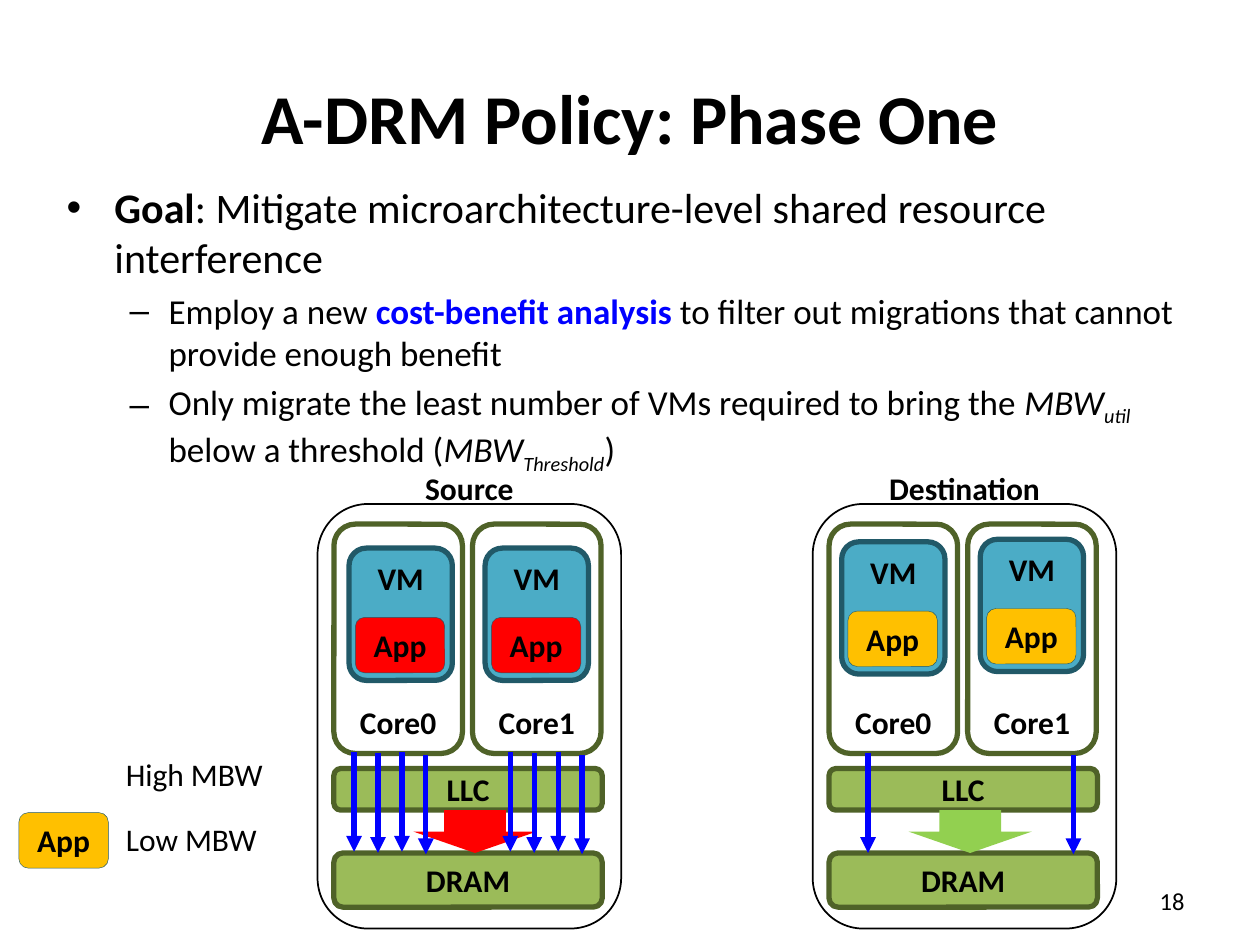
from dataclasses import dataclass

from lxml.etree import SubElement
from pptx import Presentation
from pptx.dml.color import RGBColor
from pptx.enum.shapes import MSO_CONNECTOR, MSO_SHAPE
from pptx.enum.text import MSO_ANCHOR, PP_ALIGN
from pptx.oxml.ns import qn
from pptx.util import Inches, Pt

COLORS = {
    "black": "000000",
    "blue": "0000FF",
    "olive": "4F6228",
    "green": "9BBB59",
    "lime": "92D050",
    "teal": "4BACC6",
    "navy": "215968",
    "amber": "FFC000",
    "red": "FF0000",
}


@dataclass
class Span:
    text: str
    bold: bool = False
    italic: bool = False
    color: str = "black"
    baseline: int = 0


@dataclass
class Bullet:
    mark: str
    size: int
    margin: float
    hanging: float
    before: float
    spans: list[Span]


@dataclass
class Machine:
    name: str
    left: float
    name_left: float
    name_width: float
    app_color: str
    flow_color: str
    vm_corners: list[tuple[float, float]]
    traffic: list[tuple[float, float]]


def color(name: str) -> RGBColor:
    return RGBColor.from_string(COLORS[name])


def apply(target, values: dict) -> None:
    for key, value in values.items():
        setattr(target, key, value)


def add_span(para, span: Span, size: float) -> None:
    run = para.add_run()
    run.text = span.text
    apply(run.font, {"name": "Calibri", "size": Pt(size), "bold": span.bold, "italic": span.italic})
    run.font.color.rgb = color(span.color)
    if span.baseline:
        run.font._element.set("baseline", str(span.baseline * 1000))


def add_text(slide, place: tuple, span: Span, size: float, align=PP_ALIGN.LEFT,
             anchor=MSO_ANCHOR.TOP, wrap: bool = False) -> None:
    box = slide.shapes.add_textbox(*map(Inches, place))
    apply(box.text_frame, {"word_wrap": wrap, "vertical_anchor": anchor})
    para = box.text_frame.paragraphs[0]
    para.alignment = align
    add_span(para, span, size)


def add_bullets(slide, place: tuple, bullets: list[Bullet]) -> None:
    box = slide.shapes.add_textbox(*map(Inches, place))
    box.text_frame.word_wrap = True
    for index, bullet in enumerate(bullets):
        para = box.text_frame.add_paragraph() if index else box.text_frame.paragraphs[0]
        para.space_before = Pt(bullet.before)
        properties = para._p.get_or_add_pPr()
        properties.set("marL", str(Inches(bullet.margin)))
        properties.set("indent", str(-Inches(bullet.hanging)))
        SubElement(properties, qn("a:buFont"), typeface="Arial")
        SubElement(properties, qn("a:buChar"), char=bullet.mark)
        for span in bullet.spans:
            add_span(para, span, bullet.size)


def add_block(slide, place: tuple, label: str = "", fill: str = "", line: str = "",
              weight: float = 3, anchor=MSO_ANCHOR.MIDDLE, kind=MSO_SHAPE.ROUNDED_RECTANGLE) -> None:
    block = slide.shapes.add_shape(kind, *map(Inches, place))
    block.shadow.inherit = False
    if fill:
        block.fill.solid()
        block.fill.fore_color.rgb = color(fill)
    else:
        block.fill.background()
    if line:
        block.line.color.rgb = color(line)
        block.line.width = Pt(weight)
    else:
        block.line.fill.background()
    if label:
        apply(block.text_frame, {
            "vertical_anchor": anchor, "word_wrap": True,
            "margin_left": 0, "margin_right": 0,
            "margin_top": Inches(0.05), "margin_bottom": Inches(0.05),
        })
        para = block.text_frame.paragraphs[0]
        para.alignment = PP_ALIGN.CENTER
        add_span(para, Span(label, bold=True), 18)


def add_app(slide, left: float, top: float, fill: str) -> None:
    add_block(slide, (left, top, 0.71, 0.44), "App", fill, "navy", 0.25)


def add_vm(slide, left: float, top: float, app_color: str) -> None:
    add_block(slide, (left, top, 0.82, 1.05), "VM", "teal", "navy", anchor=MSO_ANCHOR.TOP)
    add_app(slide, left + 0.05, top + 0.55, app_color)


def add_traffic(slide, x: float, top: float) -> None:
    arrow = slide.shapes.add_connector(
        MSO_CONNECTOR.STRAIGHT, Inches(x), Inches(top), Inches(x), Inches(top + 0.79))
    arrow.line.color.rgb = color("blue")
    arrow.line.width = Pt(3)
    SubElement(arrow.line._get_or_add_ln(), qn("a:tailEnd"), type="triangle")
    SubElement(arrow._element.spPr, qn("a:effectLst"))


def add_machine(slide, machine: Machine) -> None:
    inner = machine.left + 0.13
    add_block(slide, (machine.left, 4, 2.41, 3.37), line="black", weight=1)
    for core in range(2):
        add_block(slide, (inner + 1.1 * core, 4.16, 1.02, 1.82), f"Core{core}",
                  line="olive", anchor=MSO_ANCHOR.BOTTOM)
    for label, top, height in (("LLC", 6.1, 0.33), ("DRAM", 6.77, 0.43)):
        add_block(slide, (inner, top, 2.13, height), label, "green", "olive")
    add_block(slide, (inner + 0.63, 6.43, 0.98, 0.34), fill=machine.flow_color,
              kind=MSO_SHAPE.DOWN_ARROW)
    for left, top in machine.vm_corners:
        add_vm(slide, left, top, machine.app_color)
    for x, top in machine.traffic:
        add_traffic(slide, x, top)
    add_text(slide, (machine.name_left, 3.67, machine.name_width, 0.4),
             Span(machine.name, bold=True), 18, PP_ALIGN.CENTER)


BULLETS = [
    Bullet("•", 24, 0.38, 0.38, 0, [
        Span("Goal", bold=True),
        Span(": Mitigate microarchitecture-level shared resource interference"),
    ]),
    Bullet("–", 20, 0.81, 0.31, 4, [
        Span("Employ a new "),
        Span("cost-benefit analysis ", bold=True, color="blue"),
        Span("to filter out migrations that cannot provide enough benefit"),
    ]),
    Bullet("–", 20, 0.81, 0.31, 4, [
        Span("Only migrate the least number of VMs required to bring the "),
        Span("MBW", italic=True),
        Span("util ", italic=True, baseline=-25),
        Span("below a threshold ("),
        Span("MBW", italic=True),
        Span("Threshold", italic=True, baseline=-25),
        Span(")"),
    ]),
]
HEAVY_TRAFFIC = [(start + 0.19 * step, top)
                 for start in (2.81, 4.05)
                 for step, top in enumerate((5.97, 5.98, 5.97, 5.99))]
MACHINES = [
    Machine("Source", 2.52, 3.27, 0.91, "red", "red",
            [(2.77, 4.35), (3.85, 4.35)], HEAVY_TRAFFIC),
    Machine("Destination", 6.45, 6.95, 1.41, "amber", "lime",
            [(6.68, 4.3), (7.78, 4.28)], [(6.89, 5.98), (8.52, 5.99)]),
]


def main() -> None:
    deck = Presentation()
    apply(deck, {"slide_width": Inches(10), "slide_height": Inches(7.5)})
    page = deck.slides.add_slide(deck.slide_layouts[6])
    add_text(page, (0, 0.3, 10, 1.25), Span("A-DRM Policy: Phase One", bold=True), 40,
             PP_ALIGN.CENTER, MSO_ANCHOR.MIDDLE, True)
    add_bullets(page, (0.43, 1.39, 8.99, 2.61), BULLETS)
    add_text(page, (7.17, 6.95, 2.33, 0.4), Span("18"), 14,
             PP_ALIGN.RIGHT, MSO_ANCHOR.MIDDLE, True)
    add_app(page, 0.15, 6.45, "amber")
    add_text(page, (0.9, 5.94, 1.3, 0.4), Span("High MBW"), 18)
    add_text(page, (0.9, 6.46, 1.25, 0.4), Span("Low MBW"), 18)
    for machine in MACHINES:
        add_machine(page, machine)
    deck.save("out.pptx")


if __name__ == "__main__":
    main()
